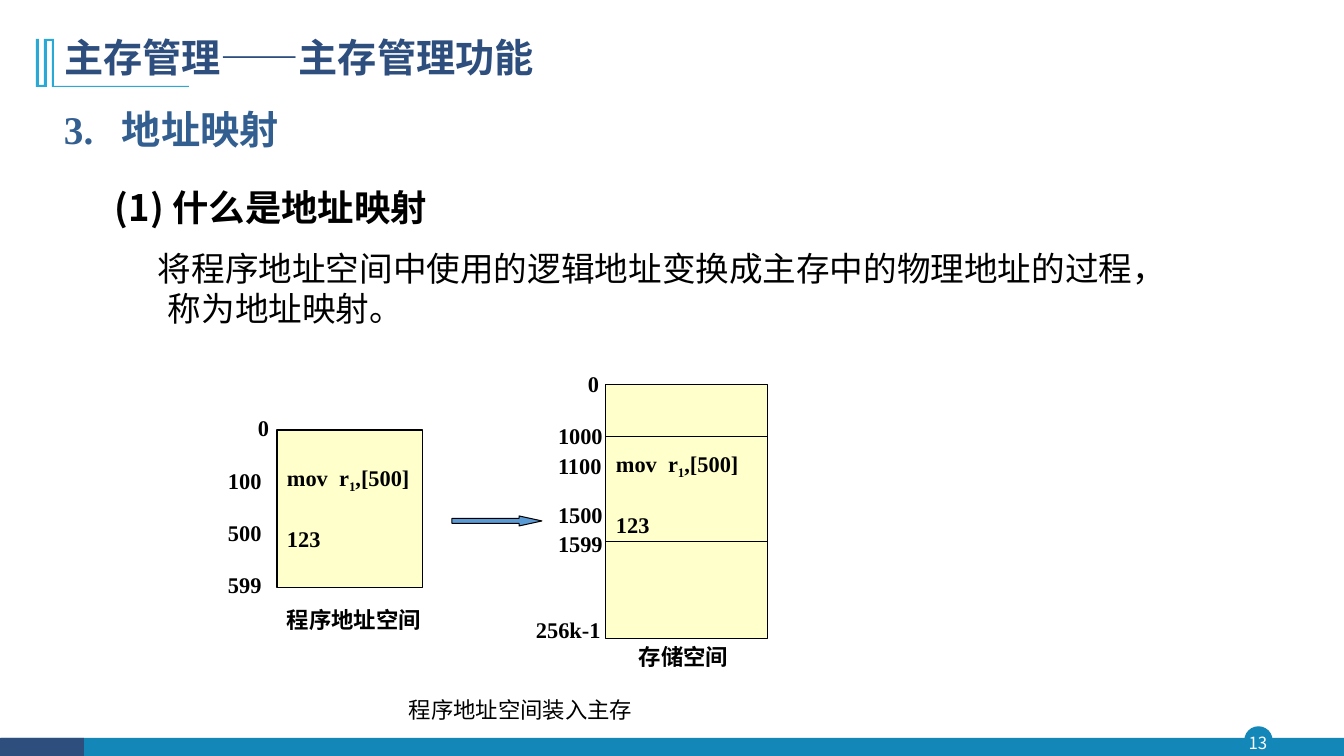
from lxml.etree import SubElement
from pptx import Presentation
from pptx.dml.color import RGBColor
from pptx.enum.shapes import MSO_CONNECTOR, MSO_SHAPE
from pptx.enum.text import MSO_ANCHOR, PP_ALIGN
from pptx.oxml.ns import qn
from pptx.util import Pt

PX = 914400 / 100.8
SANS = "Noto Sans CJK SC"
SERIF = "Times New Roman"
COLORS = {
    "white": "FFFFFF",
    "black": "000000",
    "teal": "1387B7",
    "navy": "2E4E7E",
    "cyan": "28A9D6",
    "heading": "335F90",
    "memory": "FFFFCC",
    "arrow": "5B9BD5",
}

presentation = Presentation()
presentation.slide_width = round(1344 * PX)
presentation.slide_height = round(756 * PX)
slide = presentation.slides.add_slide(presentation.slide_layouts[6])
shapes = slide.shapes


def style_shape(shape, fill, line=None, width=0.75):
    shape.shadow.inherit = False
    shape.fill.solid()
    shape.fill.fore_color.rgb = RGBColor.from_string(COLORS[fill])
    if line:
        shape.line.color.rgb = RGBColor.from_string(COLORS[line])
        shape.line.width = Pt(width)
    else:
        shape.line.fill.background()


def add_run(paragraph, text, size, color="black", bold=False, font=SERIF):
    run = paragraph.add_run()
    run.text = text
    run.font.size = Pt(size)
    run.font.bold = bold
    run.font.name = font
    run.font.color.rgb = RGBColor.from_string(COLORS[color])
    SubElement(run._r.get_or_add_rPr(), qn("a:ea"), typeface=SANS)
    return run


for kind, left, top, width, height, color, line in [
    (MSO_SHAPE.OVAL, 1245, 727, 27, 27, "teal", "teal"),
    (MSO_SHAPE.RECTANGLE, 1, 738, 1343, 18, "teal", None),
    (MSO_SHAPE.RECTANGLE, 0, 738, 84, 18, "navy", None),
]:
    footer = shapes.add_shape(
        kind, *[round(v * PX) for v in (left, top, width, height)])
    style_shape(footer, color, line, 1)

outline = [(54, 39), (54, 86), (189, 86), (189, 87), (52, 87), (52, 41),
           (47, 41), (47, 87), (36, 87), (36, 39), (39, 39), (39, 85),
           (44, 85), (44, 39)]
builder = shapes.build_freeform(*outline[0], scale=PX)
builder.add_line_segments(outline[1:], close=True)
style_shape(builder.convert_to_shape(), "cyan")

memory_blocks = [
    (277, 430, 146, 158, 34),
    (606, 385, 162, 254, 65),
]
for left, top, width, height, margin_top in memory_blocks:
    memory = shapes.add_shape(
        MSO_SHAPE.RECTANGLE,
        *[round(v * PX) for v in (left, top, width, height)])
    style_shape(memory, "memory", "black")
    frame = memory.text_frame
    frame.word_wrap = True
    frame.vertical_anchor = MSO_ANCHOR.TOP
    frame.margin_top = round(margin_top * PX)
    frame.margin_left = round(10 * PX)
    frame.margin_right = 0
    instruction = frame.paragraphs[0]
    instruction.alignment = PP_ALIGN.LEFT
    add_run(instruction, "mov  r", 16, bold=True)
    subscript = add_run(instruction, "1", 16, bold=True)
    subscript._r.get_or_add_rPr().set("baseline", "-25000")
    add_run(instruction, ",[500]", 16, bold=True)
    data = frame.add_paragraph()
    data.alignment = PP_ALIGN.LEFT
    data.space_before = Pt(22)
    add_run(data, "123", 16, bold=True)

for y in (437, 542):
    divider = shapes.add_connector(
        MSO_CONNECTOR.STRAIGHT,
        *[round(v * PX) for v in (606, y, 768, y)])
    divider.line.color.rgb = RGBColor.from_string(COLORS["black"])
    divider.line.width = Pt(0.75)
    SubElement(divider._element.spPr, qn("a:effectLst"))

load_arrow = shapes.add_shape(
    MSO_SHAPE.RIGHT_ARROW, *[round(v * PX) for v in (452, 516, 90, 10)])
load_arrow.adjustments[0] = 0.5
load_arrow.adjustments[1] = 2.29
style_shape(load_arrow, "arrow", "black")

texts = [
    ("主存管理——主存管理功能", 54, 57, 1057, 56, 28, "navy", True, SANS, 0, 0),
    ("3.\t地址映射", 54, 129, 1163, 58, 28, "heading", True, SERIF, 58, -58),
    ("(1) 什么是地址映射", 54, 207, 1163, 58, 26, "black", True, SANS, 51, 0),
    ("将程序地址空间中使用的逻辑地址变换成主存中的物理地址的过程,\n称为地址映射。".replace(",", "，"),
     54, 288, 1163, 100, 24, "black", False, SERIF, 104, -10),
    ("程序地址空间装入主存", 399, 709, 298, 37, 16, "black", False, SERIF, 0, 0),
]
labels = [("0", 248, 427, 37)]
labels += [(address, 218, 480 + 52 * i, 58)
           for i, address in enumerate(["100", "500", "599"])]
labels += [("0", 578, 383, 37)]
labels += [(address, 548, y, 74) for address, y in
           [("1000", 435), ("1100", 465), ("1500", 514), ("1599", 543)]]
labels += [
    ("256k-1", 526, 629, 96),
    ("程序地址空间", 277, 619, 176),
    ("存储空间", 629, 656, 132),
]
texts += [(text, left, middle, width, 37, 16, "black", True, SERIF, 0, 0)
          for text, left, middle, width in labels]
texts += [("13", 1242, 742, 32, 31, 12, "white", False, SANS, 0, 0)]

for (text, left, middle, width, height, size, color, bold, font,
     margin, indent) in texts:
    box = shapes.add_textbox(
        *[round(v * PX) for v in (left, middle - height // 2, width, height)])
    frame = box.text_frame
    frame.word_wrap = True
    frame.vertical_anchor = MSO_ANCHOR.MIDDLE
    frame.margin_left = frame.margin_right = round(10 * PX)
    paragraph = frame.paragraphs[0]
    if color == "white":
        frame.margin_left = frame.margin_right = 0
        frame.margin_top = frame.margin_bottom = 0
        paragraph.alignment = PP_ALIGN.CENTER
    properties = paragraph._p.get_or_add_pPr()
    properties.set("marL", str(round(margin * PX)))
    properties.set("indent", str(round(indent * PX)))
    for number, line in enumerate(text.split("\n")):
        if number:
            paragraph.add_line_break()
        add_run(paragraph, line, size, color, bold, font)

presentation.save("out.pptx")
